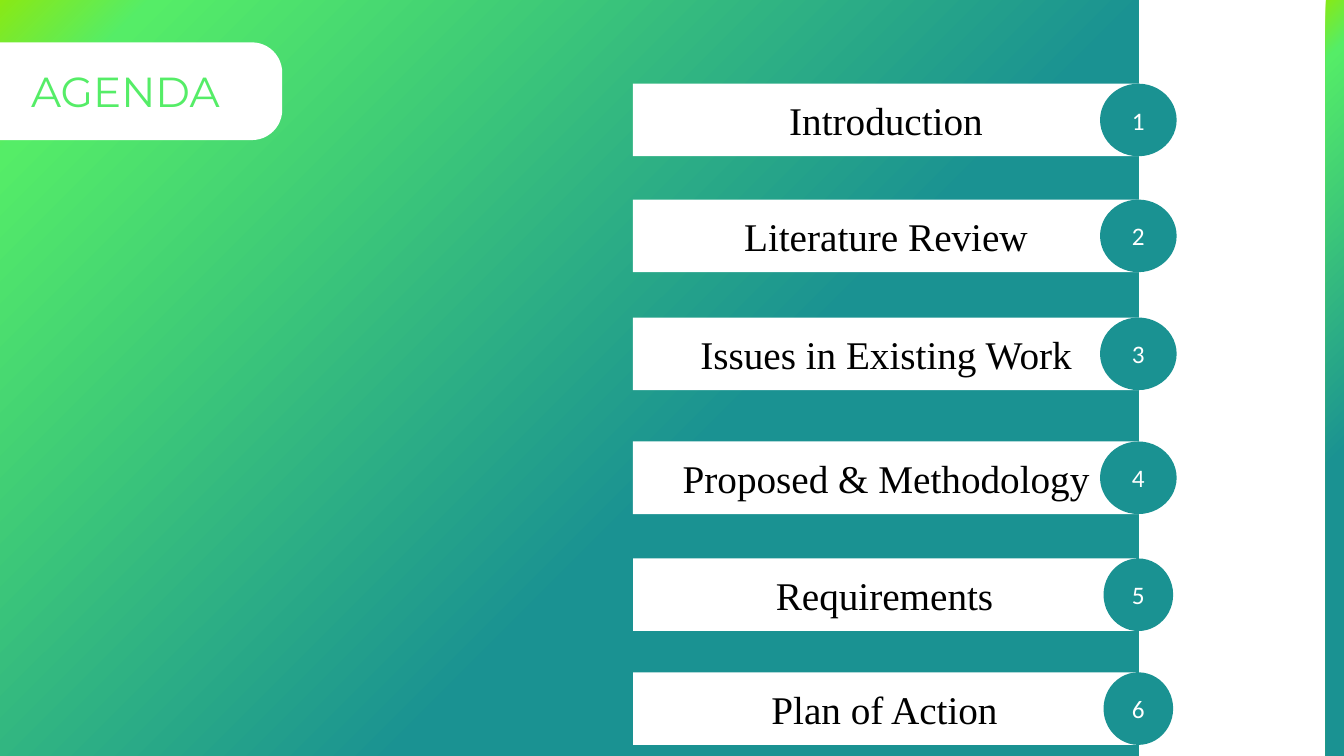
from dataclasses import dataclass

from lxml.etree import SubElement
from pptx import Presentation
from pptx.dml.color import RGBColor
from pptx.enum.shapes import MSO_SHAPE as Preset
from pptx.enum.text import MSO_ANCHOR as Anchor, PP_ALIGN as Align
from pptx.oxml.ns import qn
from pptx.util import Inches, Pt

SLIDE_WIDTH, SLIDE_HEIGHT = Inches(13.33), Inches(7.5)


@dataclass(frozen=True)
class Theme:
    white: str = "FFFFFF"
    teal: str = "1A9292"
    gradient: tuple = ((0, "89E915"), (8, "55ED67"), (61, "1A9292"))
    gradient_angle: int = 315  # counter-clockwise: top left to bottom right
    title: tuple = ("Montserrat", 30, gradient)
    topic: tuple = ("Times New Roman", 28, "000000")
    number: tuple = ("Calibri", 18, "FFFFFF")


THEME = Theme()

# Lengths are percentages of the slide's width or height
PANEL_WIDTH = 84.7
BAR_LEFT, ROW_HEIGHT = 47.1, 9.6
WIDE_ROW, NARROW_ROW = (37.65, 5.7), (37.43, 5.18)  # bar width, badge width

AGENDA = [
    ("Introduction", 11.07, WIDE_ROW),
    ("Literature Review", 26.4, WIDE_ROW),
    ("Issues in Existing Work", 42, WIDE_ROW),
    ("Proposed & Methodology", 58.4, WIDE_ROW),
    ("Requirements", 73.87, NARROW_ROW),
    ("Plan of Action", 88.93, NARROW_ROW),
]


def apply_fill(fill, owner, colour):
    """Fill with one colour, or with the stops of a gradient."""
    if isinstance(colour, str):
        fill.solid()
        fill.fore_color.rgb = RGBColor.from_string(colour)
        return
    fill.gradient()
    fill.gradient_angle = THEME.gradient_angle
    stops = owner.xpath(".//a:gradFill/a:gsLst")[0]
    for stop in list(stops):
        stops.remove(stop)
    for percent, stop_colour in colour:
        stop = SubElement(stops, qn("a:gs"), pos=str(percent * 1000))
        SubElement(stop, qn("a:srgbClr"), val=stop_colour)


def add_block(slide, preset, box, colour):
    left, top, width, height = box
    shape = slide.shapes.add_shape(
        preset,
        round(SLIDE_WIDTH * left / 100), round(SLIDE_HEIGHT * top / 100),
        round(SLIDE_WIDTH * width / 100), round(SLIDE_HEIGHT * height / 100))
    shape.shadow.inherit = False
    shape.line.fill.background()
    apply_fill(shape.fill, shape.element, colour)
    return shape


def write_label(shape, text, style):
    name, size, colour = style
    frame = shape.text_frame
    frame_format = {"word_wrap": True, "vertical_anchor": Anchor.MIDDLE}
    for attribute, value in frame_format.items():
        setattr(frame, attribute, value)
    paragraph = frame.paragraphs[0]
    paragraph.alignment = Align.CENTER
    run = paragraph.add_run()
    run.text = text
    font_format = {"name": name, "size": Pt(size)}
    for attribute, value in font_format.items():
        setattr(run.font, attribute, value)
    apply_fill(run.font.fill, paragraph._p, colour)


def add_title_tag(slide, text):
    tag = add_block(slide, Preset.ROUNDED_RECTANGLE,
                    (-2.33, 5.6, 23.33, 12.93), THEME.white)
    tag.adjustments[0] = 0.31
    write_label(tag, text, THEME.title)


def add_agenda_row(slide, number, topic, top, widths):
    bar_width, badge_width = widths
    bar = add_block(slide, Preset.RECTANGLE,
                    (BAR_LEFT, top, bar_width, ROW_HEIGHT), THEME.white)
    write_label(bar, topic, THEME.topic)
    # The badge is centred on the panel's right edge
    badge_left = PANEL_WIDTH - badge_width / 2
    badge = add_block(slide, Preset.OVAL,
                      (badge_left, top, badge_width, ROW_HEIGHT), THEME.teal)
    write_label(badge, str(number), THEME.number)


def main():
    presentation = Presentation()
    presentation.slide_width = SLIDE_WIDTH
    presentation.slide_height = SLIDE_HEIGHT
    slide = presentation.slides.add_slide(presentation.slide_layouts[6])

    # Gradient panel and title
    add_block(slide, Preset.RECTANGLE, (0, 0, PANEL_WIDTH, 100), THEME.gradient)
    add_title_tag(slide, "AGENDA")

    # Numbered topics
    for number, (topic, top, widths) in enumerate(AGENDA, start=1):
        add_agenda_row(slide, number, topic, top, widths)

    # Strip along the right edge
    add_block(slide, Preset.RECTANGLE, (98.65, -0.27, 1.43, 100.27), THEME.gradient)

    presentation.save("out.pptx")


if __name__ == "__main__":
    main()
